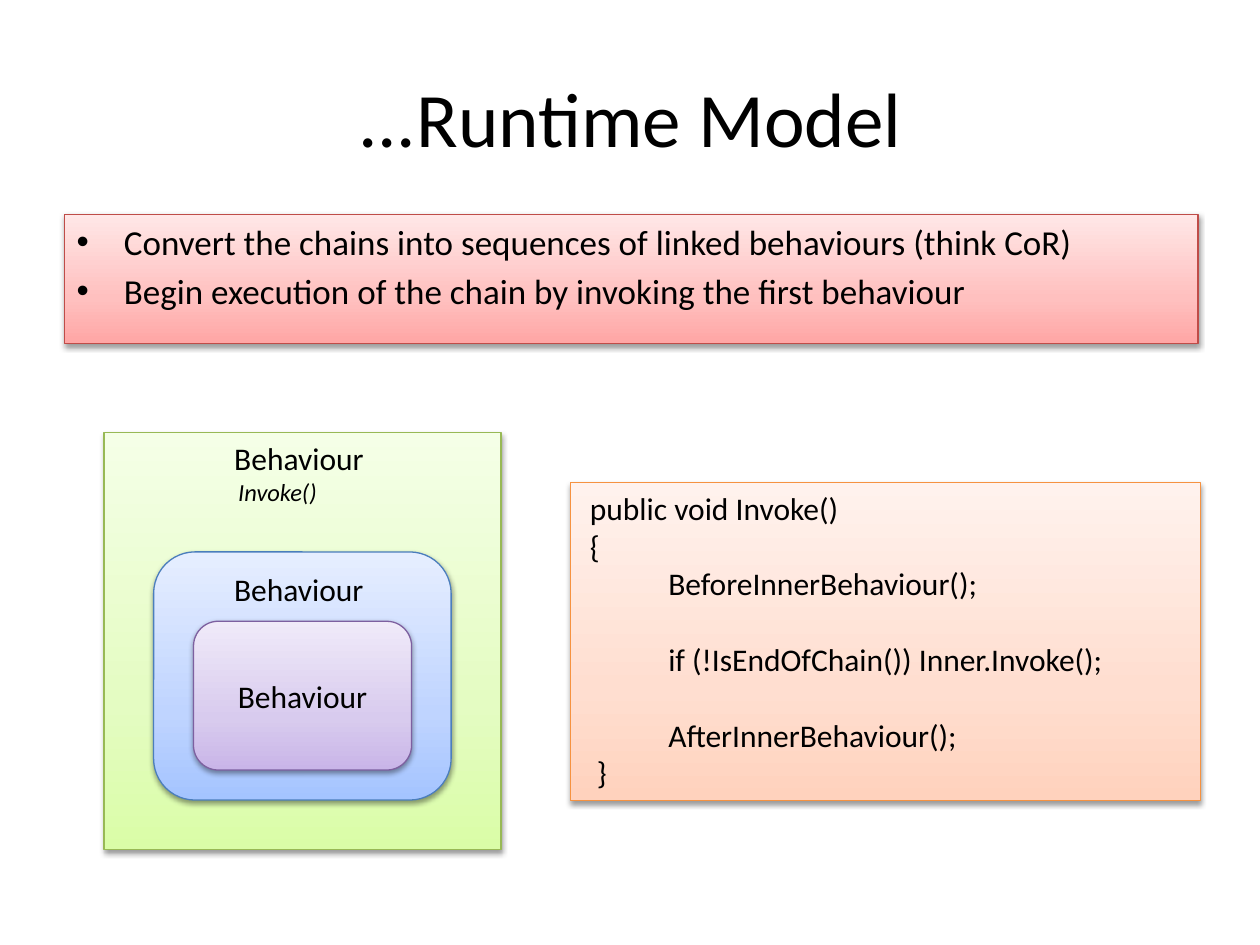
from copy import deepcopy

from lxml import etree
from pptx import Presentation
from pptx.dml.color import RGBColor
from pptx.enum.shapes import MSO_SHAPE
from pptx.enum.text import MSO_ANCHOR, PP_ALIGN
from pptx.oxml import parse_xml
from pptx.oxml.ns import nsdecls, qn
from pptx.util import Pt

RECTANGLE = MSO_SHAPE.RECTANGLE
ROUNDED = MSO_SHAPE.ROUNDED_RECTANGLE
LEFT, CENTER = PP_ALIGN.LEFT, PP_ALIGN.CENTER
TOP, MIDDLE = MSO_ANCHOR.TOP, MSO_ANCHOR.MIDDLE

RED = ("FFA6A5", "FFC0BF", "FFE7E7", "BF4C48")
GREEN = ("DAFDA7", "E4FCC2", "F5FFE7", "98B955")
BLUE = ("A4C4FF", "BFD4FF", "E6EEFF", "4B7EBC")
PURPLE = ("C9B5E8", "D8CBEE", "F0EAF9", "7D60A0")
ORANGE = ("FFD2BD", "FFDED0", "FFF2ED", "F69240")


def color(value):
    return RGBColor.from_string(value)


class SlideBuilder:
    font = "Calibri"
    text_color = "000000"
    stop_positions = (0, 0.35, 1)

    def __init__(self, slide):
        self.slide = slide

    def frame(self, shape, anchor):
        frame = shape.text_frame
        frame.word_wrap = True
        frame.vertical_anchor = anchor
        return frame

    def text_box(self, box, anchor=TOP):
        shape = self.slide.shapes.add_textbox(*map(Pt, box))
        return self.frame(shape, anchor)

    def panel(self, kind, box, palette, anchor=TOP):
        shape = self.slide.shapes.add_shape(kind, *map(Pt, box))
        *stops, border = palette
        self.gradient(shape, stops)
        shape.line.color.rgb = color(border)
        shape.line.width = Pt(0.75)
        self.shadow(shape)
        return self.frame(shape, anchor)

    def gradient(self, shape, colors):
        fill = shape.fill
        fill.gradient()
        fill.gradient_angle = 90
        stop_list = shape._element.spPr.find(".//" + qn("a:gsLst"))
        stop_list.append(deepcopy(stop_list[-1]))
        for stop, position, value in zip(fill.gradient_stops, self.stop_positions, colors):
            stop.position = position
            stop.color.rgb = color(value)

    def shadow(self, shape):
        shape.shadow.inherit = False
        effects = shape._element.spPr.find(qn("a:effectLst"))
        effects.append(parse_xml(
            f'<a:outerShdw {nsdecls("a")} blurRad="{Pt(3.1)}" dist="{Pt(1.6)}" '
            'dir="5400000" rotWithShape="0"><a:srgbClr val="000000">'
            '<a:alpha val="38000"/></a:srgbClr></a:outerShdw>'))

    def paragraph(self, frame, text, size=18, align=LEFT, italic=False,
                  indent=0, hanging=0, before=0, bullet=None):
        paragraph = frame.paragraphs[0]
        if paragraph.runs:
            paragraph = frame.add_paragraph()
        paragraph.alignment = align
        paragraph.space_before = Pt(before)
        properties = paragraph._p.get_or_add_pPr()
        properties.set("marL", str(Pt(indent)))
        properties.set("indent", str(Pt(-hanging)))
        if bullet:
            etree.SubElement(properties, qn("a:buFont")).set("typeface", "Arial")
            etree.SubElement(properties, qn("a:buChar")).set("char", bullet)
        run = paragraph.add_run()
        run.text = text
        run.font.name = self.font
        run.font.size = Pt(size)
        run.font.italic = italic
        run.font.color.rgb = color(self.text_color)


presentation = Presentation()
presentation.slide_width = Pt(720)
presentation.slide_height = Pt(540)
builder = SlideBuilder(presentation.slides.add_slide(presentation.slide_layouts[6]))

title = builder.text_box((36, 21.6, 648, 90), MIDDLE)
builder.paragraph(title, "...Runtime Model", size=44, align=CENTER)

summary = builder.panel(RECTANGLE, (36.7, 122.4, 648, 73.8), RED)
for point in (
    "Convert the chains into sequences of linked behaviours (think CoR)",
    "Begin execution of the chain by invoking the first behaviour",
):
    builder.paragraph(summary, point, size=20, indent=27, hanging=27, before=4, bullet="•")

outer = builder.panel(RECTANGLE, (59.5, 247.3, 226.8, 238.3), GREEN)
builder.paragraph(outer, "Behaviour ", align=CENTER)
builder.paragraph(outer, "Invoke()", size=14, italic=True, indent=69.5)

middle = builder.panel(ROUNDED, (87.8, 315.4, 170, 141.8), BLUE)
builder.paragraph(middle, "Behaviour ", align=CENTER)

inner = builder.panel(ROUNDED, (110.6, 355, 124.6, 85), PURPLE, MIDDLE)
builder.paragraph(inner, "Behaviour", align=CENTER)

code = builder.panel(RECTANGLE, (326, 275.8, 360, 181.6), ORANGE)
for line, indent, gap in (
    ("public void Invoke()", 4, 0),
    ("{", 4, 0),
    ("BeforeInnerBehaviour();", 48.8, 0),
    ("if (!IsEndOfChain()) Inner.Invoke();", 48.8, 21.6),
    ("AfterInnerBehaviour();", 48.8, 21.6),
    ("}", 8, 0),
):
    builder.paragraph(code, line, indent=indent, before=gap)

presentation.save("out.pptx")
